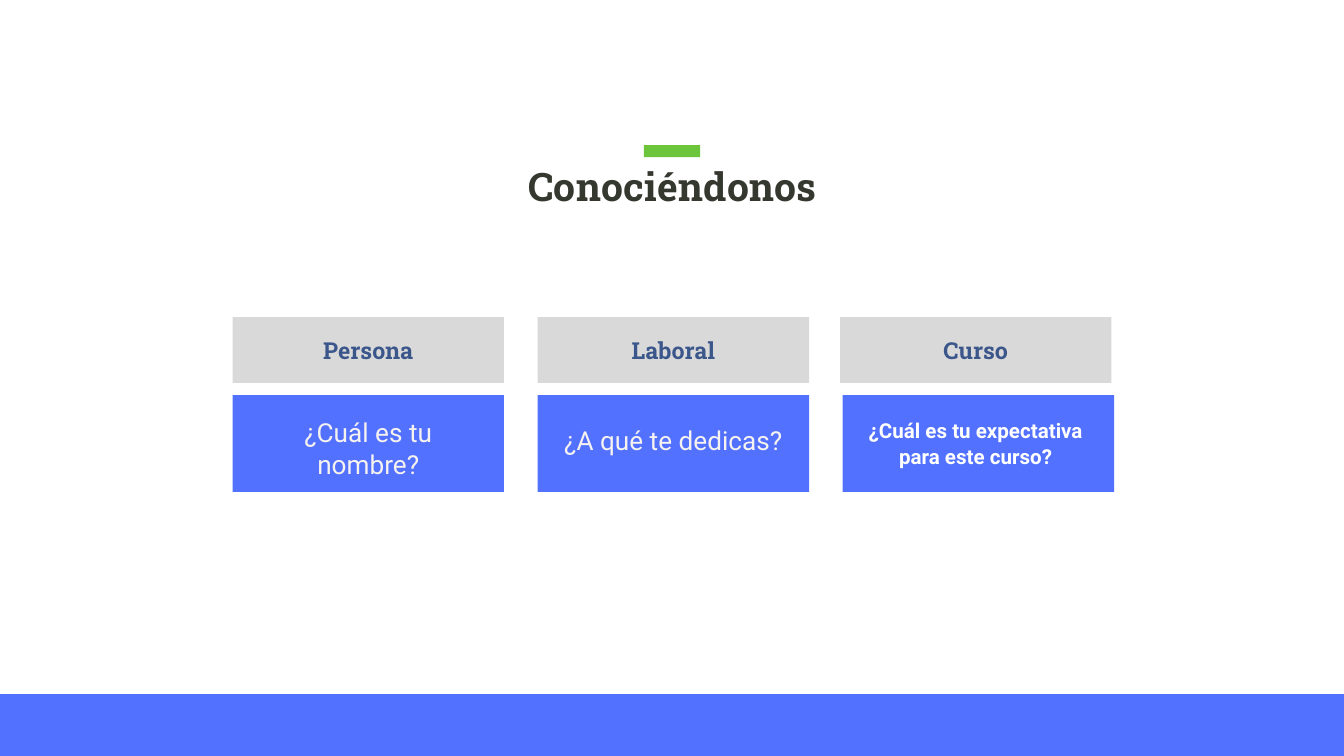
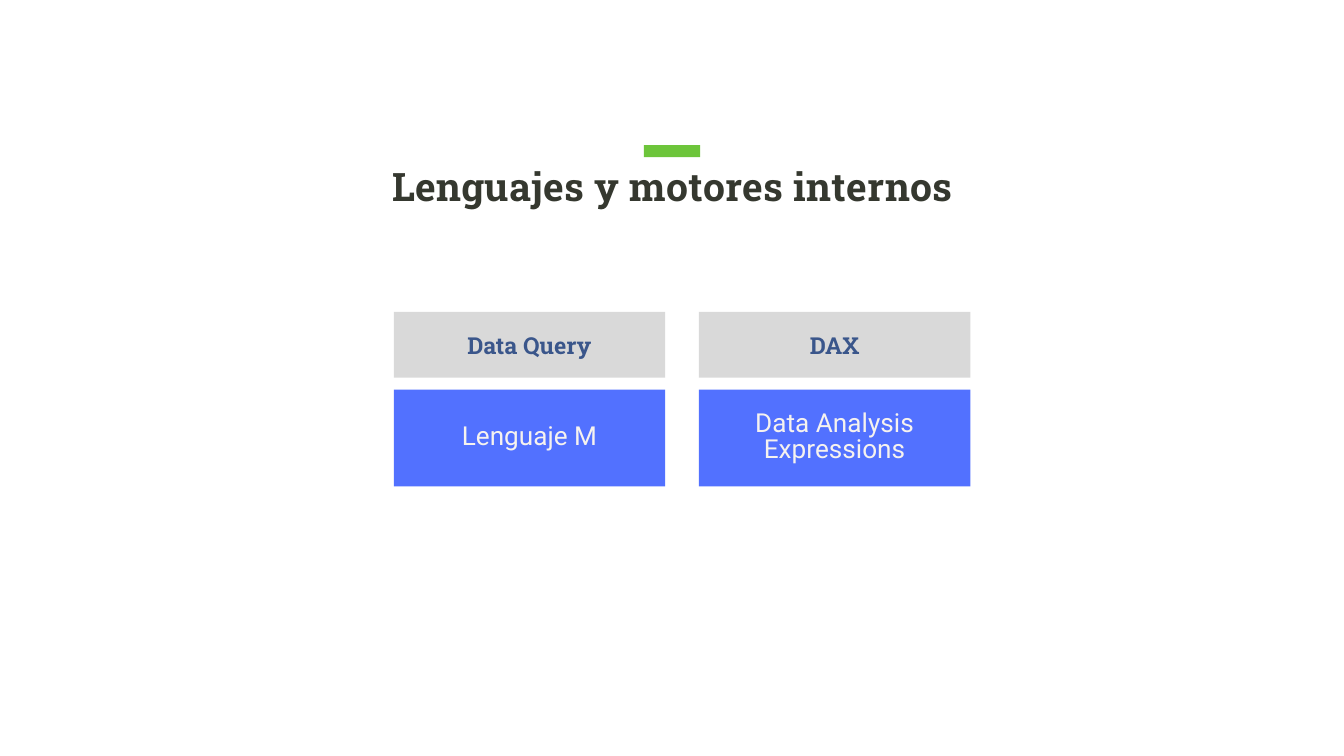
from dataclasses import dataclass

from pptx import Presentation
from pptx.dml.color import RGBColor
from pptx.enum.shapes import MSO_SHAPE
from pptx.enum.text import MSO_AUTO_SIZE, PP_ALIGN
from pptx.util import Inches, Pt


@dataclass(frozen=True)
class Style:
    font: str
    size: float
    color: str
    bold: bool = False
    lead: float = None
    track: float = 0


class Theme:
    white = "FFFFFF"
    green = "6DC53B"
    gray = "D9D9D9"
    blue = "5271FF"
    title = Style("Roboto Slab", 21, "35382F", True, 21.2, 0.2)
    head = Style("Roboto Slab", 12.5, "3A568B", True, 13.8)
    body = Style("Roboto", 14, "F6F2EF", lead=14)
    loose = Style("Roboto", 14, "F6F2EF")
    strong = Style("Roboto", 11, white, True, 14)


@dataclass(frozen=True)
class Card:
    head: str
    body: str
    style: Style = Theme.body
    lines: int = 1
    wide: float = 1.79
    shift: float = 0


WIDE = 10
HIGH = WIDE * 9 / 16
BAND = 0.46
CARD, STEP = 2.02, 2.27
HEAD, BODY, DROP = 0.49, 0.72, 0.58
LABEL = 1.79


def add_rect(slide, left, top, wide, high, color):
    rect = slide.shapes.add_shape(
        MSO_SHAPE.RECTANGLE, Inches(left), Inches(top), Inches(wide), Inches(high))
    rect.shadow.inherit = False
    rect.fill.solid()
    rect.fill.fore_color.rgb = RGBColor.from_string(color)
    rect.line.fill.background()


def add_text(slide, left, top, wide, high, text, style):
    box = slide.shapes.add_textbox(Inches(left), Inches(top), Inches(wide), Inches(high))
    frame = box.text_frame
    frame.word_wrap = True
    frame.auto_size = MSO_AUTO_SIZE.SHAPE_TO_FIT_TEXT
    frame.margin_left = frame.margin_right = 0
    frame.margin_top = frame.margin_bottom = 0
    para = frame.paragraphs[0]
    para.alignment = PP_ALIGN.CENTER
    if style.lead:
        para.line_spacing = Pt(style.lead)
    run = para.add_run()
    run.text = text
    if style.track:
        run._r.get_or_add_rPr().set("spc", str(round(style.track * 100)))
    font = para.font
    font.name, font.size, font.bold = style.font, Pt(style.size), style.bold
    font.color.rgb = RGBColor.from_string(style.color)


def add_slide(deck, title):
    """Add a blank slide with the green bar and centred title."""
    slide = deck.slides.add_slide(deck.slide_layouts[6])
    slide.background.fill.solid()
    slide.background.fill.fore_color.rgb = RGBColor.from_string(Theme.white)
    add_rect(slide, 4.79, 1.08, 0.42, 0.09, Theme.green)
    add_text(slide, 2.58, 1.26, 4.85, 0.29, title, Theme.title)
    return slide


def add_card(slide, left, top, card):
    """Draw a gray heading over a blue block; shift moves all but the block."""
    near = left + card.shift
    add_rect(slide, near, top, CARD, HEAD, Theme.gray)
    add_text(slide, near + (CARD - LABEL) / 2, top + 0.16, LABEL, 0.2,
             card.head, Theme.head)
    add_rect(slide, left, top + DROP, CARD, BODY, Theme.blue)
    add_text(slide, near + (CARD - card.wide) / 2, top + DROP + 0.36 - 0.1 * card.lines,
             card.wide, 0.2 * card.lines, card.body, card.style)


def add_cards(slide, left, top, cards):
    for i, card in enumerate(cards):
        add_card(slide, left + i * STEP, top, card)


def main():
    deck = Presentation()
    deck.slide_width, deck.slide_height = Inches(WIDE), Inches(HIGH)

    slide = add_slide(deck, "Conociéndonos")
    add_cards(slide, 1.73, 2.36, [
        Card("Persona", "¿Cuál es tu nombre?", Theme.loose, 2, 1.59),
        Card("Laboral", "¿A qué te dedicas?"),
        Card("Curso", "¿Cuál es tu expectativa para este curso?",
             Theme.strong, 2, shift=-0.02),
    ])
    add_rect(slide, 0, HIGH - BAND, WIDE, BAND, Theme.blue)

    slide = add_slide(deck, "Lenguajes y motores internos")
    add_cards(slide, 2.93, 2.32, [
        Card("Data Query", "Lenguaje M", wide=1.59),
        Card("DAX", "Data Analysis Expressions", lines=2),
    ])
    deck.save("out.pptx")


if __name__ == "__main__":
    main()
